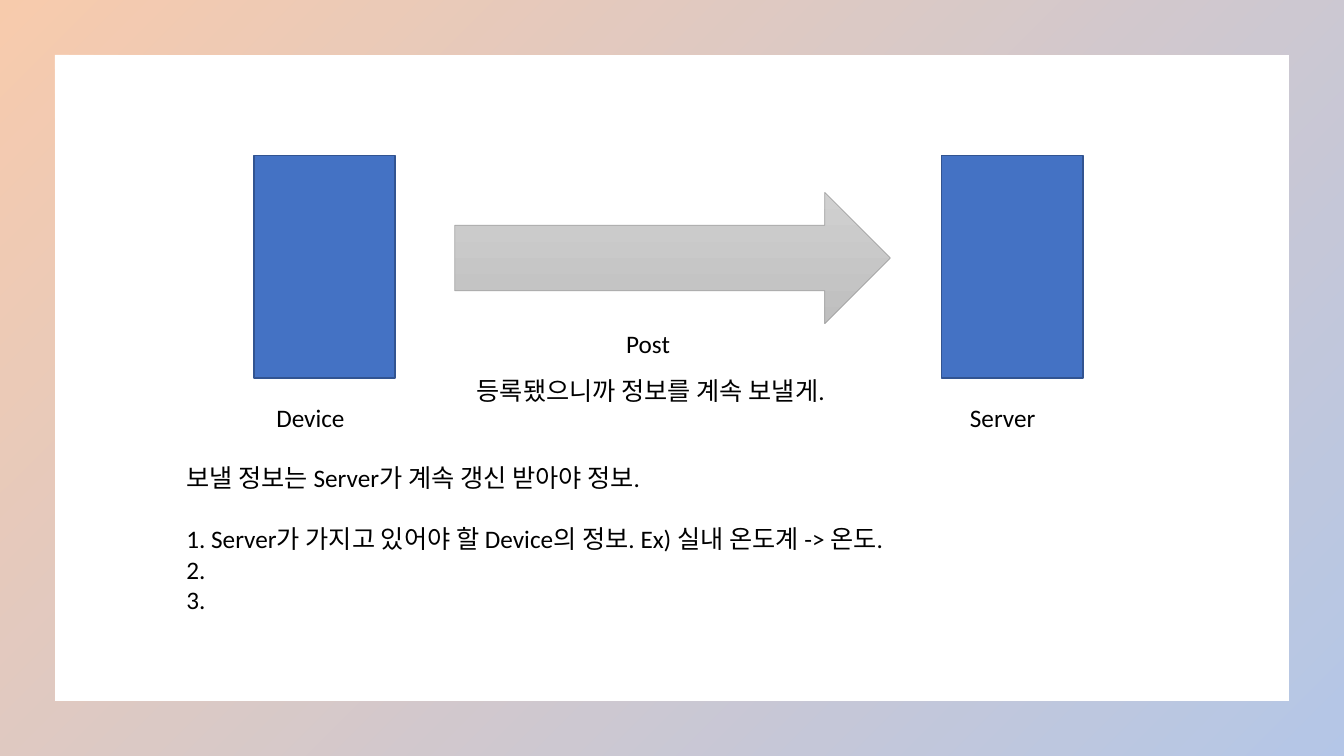
import pptx
import pptx.dml.color
import pptx.enum.shapes
import pptx.enum.text
import pptx.oxml.ns
import pptx.util
from lxml import etree

Inches = pptx.util.Inches
Pt = pptx.util.Pt
Shape = pptx.enum.shapes.MSO_SHAPE


def colour(value):
    """Turn a hex string into a colour."""
    return pptx.dml.color.RGBColor.from_string(value)


class Page:
    """Holds the text style and the current slide."""

    font = {"name": "Calibri", "size": Pt(18)}
    frame = {"word_wrap": True, "auto_size": pptx.enum.text.MSO_AUTO_SIZE.SHAPE_TO_FIT_TEXT}

    def __init__(self, deck):
        """Add a blank slide to the deck."""
        self.shapes = deck.slides.add_slide(deck.slide_layouts[6]).shapes

    def shape(self, kind, place, line=None, width=1):
        """Add a preset shape with an outline or none."""
        shape = self.shapes.add_shape(kind, *map(Inches, place))
        shape.shadow.inherit = False
        if line:
            shape.line.color.rgb = colour(line)
            shape.line.width = Pt(width)
        else:
            shape.line.fill.background()
        return shape

    def solid(self, shape, value):
        """Fill a shape with one colour."""
        shape.fill.solid()
        shape.fill.fore_color.rgb = colour(value)

    def gradient(self, shape, values, clockwise, opacity=100):
        """Fill a shape with a gradient between two colours."""
        shape.fill.gradient()
        shape.fill.gradient_angle = 360 - clockwise
        for position, (stop, value) in enumerate(zip(shape.fill.gradient_stops, values)):
            stop.position = position
            stop.color.rgb = colour(value)
        if opacity < 100:
            name = pptx.oxml.ns.qn("a:alpha")
            for tint in shape.fill._xPr.iter(pptx.oxml.ns.qn("a:srgbClr")):
                etree.SubElement(tint, name, val=str(opacity * 1000))

    def text(self, place, lines, indent=0.1, gap=0):
        """Add a text box, with a gap after its first line."""
        box = self.shapes.add_textbox(*map(Inches, place))
        for key, value in {**self.frame, "margin_left": Inches(indent)}.items():
            setattr(box.text_frame, key, value)
        for index, line in enumerate(lines):
            para = box.text_frame.paragraphs[0] if index == 0 else box.text_frame.add_paragraph()
            if index == 0 and gap:
                para.space_after = Pt(gap)
            span = para.add_run()
            span.text = line
            span.font.color.rgb = colour("000000")
            for key, value in self.font.items():
                setattr(span.font, key, value)


def main():
    """Build and save the slide."""
    deck = pptx.Presentation()
    deck.slide_width, deck.slide_height = Inches(13.33), Inches(7.5)
    page = Page(deck)

    border = page.shape(Shape.FRAME, (0, 0, 13.33, 7.5))
    border.adjustments[0] = 0.072
    page.gradient(border, ("ED7D31", "4472C4"), 45, opacity=40)

    for name, box_left, label_left in (("Device", 2.52, 2.3), ("Server", 9.34, 9.18)):
        page.solid(page.shape(Shape.RECTANGLE, (box_left, 1.54, 1.4, 2.21), "325491"), "4472C4")
        page.text((label_left, 3.94, 1.85, 0.4), [name], indent=0.44)

    arrow = page.shape(Shape.RIGHT_ARROW, (4.51, 1.91, 4.32, 1.3), "A3A3A3", 0.5)
    page.gradient(arrow, ("D0D0D0", "BFBFBF"), 90)
    page.text((5.89, 3.21, 1.85, 0.4), ["Post"], indent=0.32)
    page.text((4.63, 3.67, 3.68, 0.4), ["등록됐으니까 정보를 계속 보낼게."])

    page.text((1.75, 4.54, 10.01, 1.62), [
        "보낼 정보는 Server가 계속 갱신 받아야 정보.",
        "1. Server가 가지고 있어야 할 Device의 정보. Ex) 실내 온도계 -> 온도.",
        "2.",
        "3.",
    ], gap=22)
    deck.save("out.pptx")


if __name__ == "__main__":
    main()
